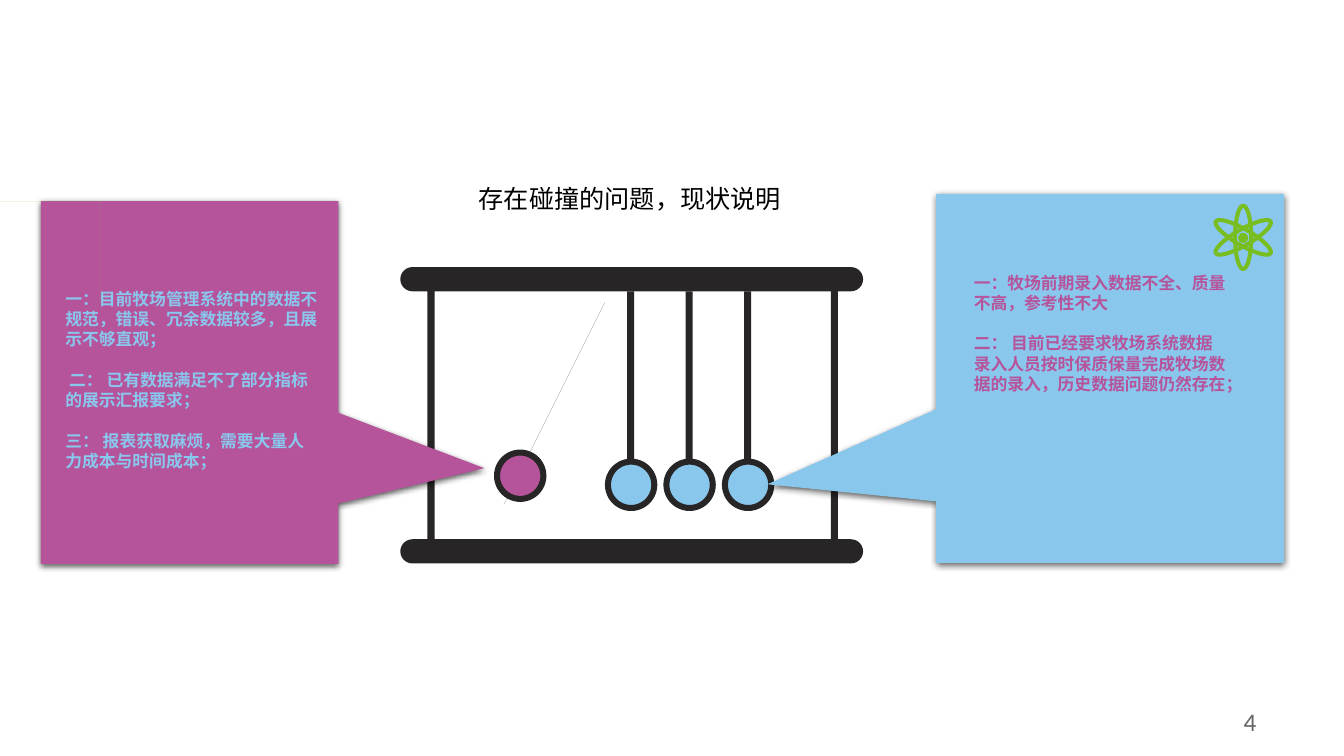
from math import cos, pi, sin

from lxml.etree import SubElement
from pptx import Presentation
from pptx.dml.color import RGBColor
from pptx.enum.shapes import MSO_SHAPE
from pptx.enum.text import PP_ALIGN
from pptx.oxml.ns import qn
from pptx.util import Inches, Pt

PAPER = RGBColor(0xFE, 0xFF, 0xFE)
BLACK = RGBColor(0x00, 0x00, 0x00)
DARK = RGBColor(0x27, 0x25, 0x25)
GREY = RGBColor(0x66, 0x64, 0x62)
PURPLE = RGBColor(0xB6, 0x54, 0x9B)
BLUE = RGBColor(0x8A, 0xC7, 0xED)
GREEN = RGBColor(0x78, 0xBE, 0x20)
CJK = "Noto Sans CJK SC"

prs = Presentation()
prs.slide_width, prs.slide_height = Inches(13.33), Inches(7.5)
slide = prs.slides.add_slide(prs.slide_layouts[6])
slide.background.fill.solid()
slide.background.fill.fore_color.rgb = PAPER
shapes = slide.shapes


def paint(shape, fill=None, outline=None, width=0):
    shape.shadow.inherit = False
    for part, color in ((shape.fill, fill), (shape.line.fill, outline)):
        if color is None:
            part.background()
        else:
            part.solid()
            part.fore_color.rgb = color
    if outline is not None:
        shape.line.width = Inches(width)
    return shape


def write(box, paragraphs, font, layout, color, wrap=True):
    frame = shapes.add_textbox(*map(Inches, box)).text_frame
    frame.word_wrap = wrap
    for i, text in enumerate(paragraphs):
        paragraph = frame.add_paragraph() if i else frame.paragraphs[0]
        run = paragraph.add_run()
        run.text = text
        for target, values in ((run.font, font), (paragraph, layout)):
            for name, value in values.items():
                setattr(target, name, value)
        if i:
            paragraph.space_before = Pt(14.5)
        run.font.color.rgb = color
        SubElement(run.font._element, qn("a:ea"), typeface=font["name"])


# Frame of the cradle: two bars and two posts
for top in (5.35, 2.65):
    bar = shapes.add_shape(MSO_SHAPE.ROUNDED_RECTANGLE, Inches(3.97), Inches(top), Inches(4.59), Inches(0.24))
    bar.adjustments[0] = 0.5
    paint(bar, DARK)
for left in (4.24, 8.24):
    paint(shapes.add_shape(MSO_SHAPE.RECTANGLE, Inches(left), Inches(2.87), Inches(0.07), Inches(2.48)), DARK)

# Hanging rods, the first one swung out
swung_rod = shapes.build_freeform(5.26, 4.53, scale=Inches(1))
swung_rod.add_line_segments([(5.19, 4.51), (5.58, 2.86), (5.66, 2.88)])
paint(swung_rod.convert_to_shape(), DARK)
resting_x = [6.26 + 0.58 * i for i in range(3)]
for x in resting_x:
    paint(shapes.add_shape(MSO_SHAPE.RECTANGLE, Inches(x - 0.04), Inches(2.89), Inches(0.07), Inches(1.69)), DARK)

# Balls
for x, y, color in [(5.16, 4.72, PURPLE)] + [(x, 4.81, BLUE) for x in resting_x]:
    ball = shapes.add_shape(MSO_SHAPE.OVAL, Inches(x - 0.23), Inches(y - 0.23), Inches(0.46), Inches(0.46))
    paint(ball, color, DARK, 0.06)

# Callouts with a soft shadow below
for box, turn, tip, color in (
    ((0.08, 2.32, 3.6, 2.95), 270, (-0.236, 0.991), PURPLE),
    ((9.18, 2.03, 3.66, 3.45), 90, (0.287, 0.985), BLUE),
):
    callout = shapes.add_shape(MSO_SHAPE.RECTANGULAR_CALLOUT, *map(Inches, box))
    callout.rotation = turn
    callout.adjustments[0], callout.adjustments[1] = tip
    paint(callout, color)
    effects = callout._element.spPr.find(qn("a:effectLst"))
    shadow = SubElement(effects, qn("a:outerShdw"), blurRad=str(Pt(4.5)), dist=str(Pt(1.5)),
                        dir="5400000", algn="ctr", rotWithShape="0")
    shade = SubElement(shadow, qn("a:srgbClr"), val="000000")
    SubElement(shade, qn("a:alpha"), val="63000")

# Exchange arrows: one half, then the same half turned about the centre
center_x, center_y = 0.75, 2.42
sweep = [pi / 2 * i / 12 for i in range(13)]
half = [(-0.19, -0.04)]
half += [(-0.19 * cos(a), -0.19 * sin(a)) for a in sweep if a > 0.25]
half += [(0, -0.13), (0.15, -0.23), (0, -0.33)]
half += [(-0.27 * cos(a), -0.27 * sin(a)) for a in reversed(sweep)]
half += [(-0.27, 0.04)]
outline = [(center_x + s * x, center_y + s * y) for s in (1, -1) for x, y in half]
arrows = shapes.build_freeform(*outline[0], scale=Inches(1))
arrows.add_line_segments(outline[1:])
paint(arrows.convert_to_shape(), GREEN)

# Atom: three orbits and a nucleus
atom_x, atom_y = 12.33, 2.36
for turn in (0, 60, 120):
    orbit = shapes.add_shape(MSO_SHAPE.OVAL, Inches(atom_x - 0.08), Inches(atom_y - 0.32), Inches(0.16), Inches(0.63))
    orbit.rotation = turn
    paint(orbit, None, GREEN, 0.04)
paint(shapes.add_shape(MSO_SHAPE.OVAL, Inches(atom_x - 0.05), Inches(atom_y - 0.05), Inches(0.1), Inches(0.1)), GREEN)

# Title, problem lists and page number
write((4.65, 1.77, 3.23, 0.4), ["存在碰撞的问题，现状说明"],
      {"name": CJK, "size": Pt(18)}, {"line_spacing": Pt(21.6)}, BLACK, wrap=False)
list_font = {"name": CJK, "size": Pt(12), "bold": True}
list_layout = {"line_spacing": Pt(14.5)}
write((0.55, 2.81, 2.73, 1.92), [
    "一：目前牧场管理系统中的数据不规范，错误、冗余数据较多，且展示不够直观；",
    " 二： 已有数据满足不了部分指标的展示汇报要求；",
    "三： 报表获取麻烦，需要大量人力成本与时间成本；",
], list_font, list_layout, BLUE)
write((9.56, 2.65, 2.73, 1.31), [
    "一：牧场前期录入数据不全、质量不高，参考性不大",
    "二： 目前已经要求牧场系统数据录入人员按时保质保量完成牧场数据的录入，历史数据问题仍然存在；",
], list_font, list_layout, PURPLE)
write((9.56, 6.96, 3, 0.4), ["4"], {"name": "Calibri", "size": Pt(18)}, {"alignment": PP_ALIGN.RIGHT}, GREY)

prs.save("out.pptx")
